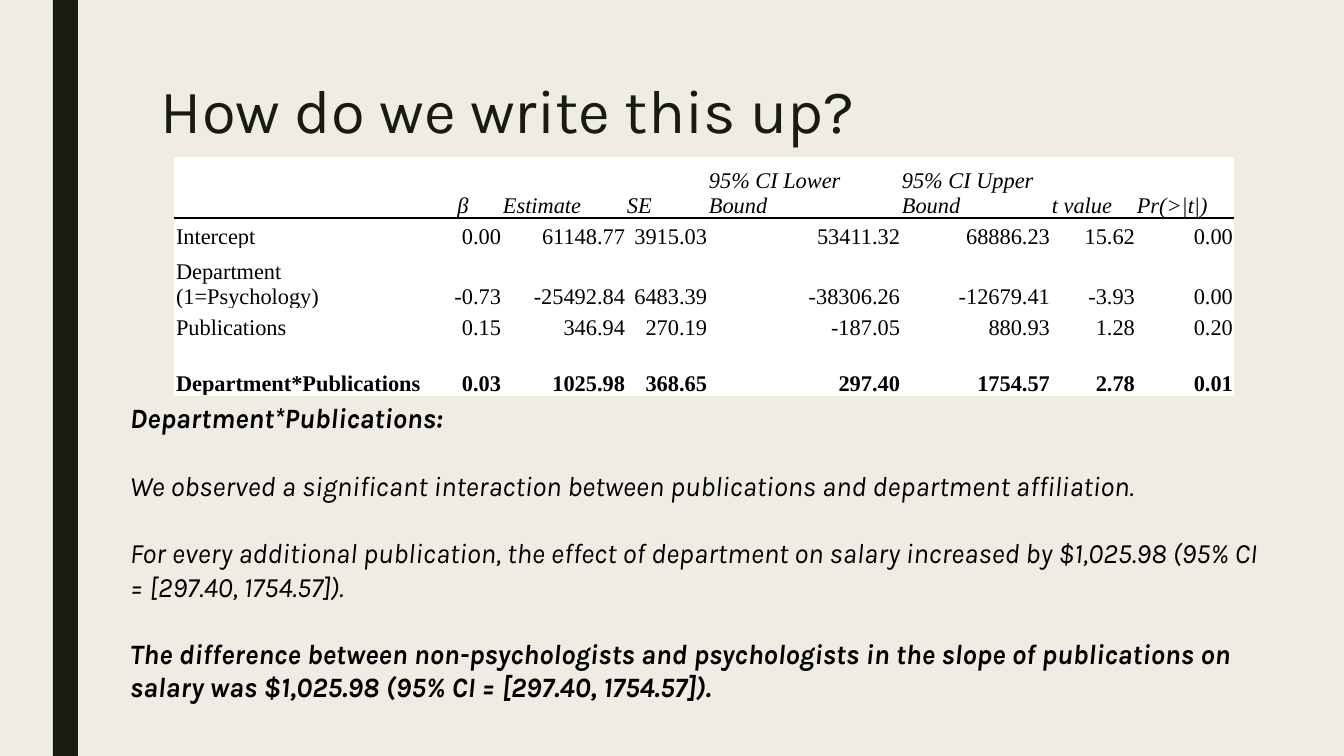
from dataclasses import dataclass
from lxml.etree import SubElement as Sub
from pptx import Presentation
from pptx.dml.color import RGBColor as RGB
from pptx.enum.shapes import MSO_SHAPE as Shape
from pptx.enum.text import MSO_ANCHOR as Anchor, PP_ALIGN as Align
from pptx.oxml.ns import qn
from pptx.util import Emu, Pt

SCALE = 914400 / 100.8


@dataclass(frozen=True)
class Theme:
    paper: RGB = RGB.from_string("EFEDE3")
    dark: RGB = RGB.from_string("191B0E")
    black: RGB = RGB.from_string("000000")
    white: RGB = RGB.from_string("FFFFFF")
    sans: str = "Karla"
    serif: str = "Times New Roman"
    title: int = 44
    body: int = 20
    cell: int = 16


THEME = Theme()

COLS = [249, 78, 124, 82, 193, 150, 85, 98]
ROWS = [60, 31, 60, 31, 56]
HEAD = ["", "β", "Estimate", "SE", "95% CI Lower Bound",
        "95% CI Upper Bound", "t value", "Pr(>|t|)"]
DATA = [
    ["Intercept", "0.00", "61148.77", "3915.03", "53411.32", "68886.23",
     "15.62", "0.00"],
    ["Department\n(1=Psychology)", "-0.73", "-25492.84", "6483.39",
     "-38306.26", "-12679.41", "-3.93", "0.00"],
    ["Publications", "0.15", "346.94", "270.19", "-187.05", "880.93",
     "1.28", "0.20"],
    ["Department*Publications", "0.03", "1025.98", "368.65", "297.40",
     "1754.57", "2.78", "0.01"],
]
NOTES = [
    ("Department*Publications:", True),
    ("We observed a significant interaction between publications and "
     "department affiliation.", False),
    ("For every additional publication, the effect of department on salary "
     "increased by $1,025.98 (95% CI = [297.40, 1754.57]).", False),
    ("The difference between non-psychologists and psychologists in the slope "
     "of publications on salary was $1,025.98 (95% CI = [297.40, 1754.57]).",
     True),
]


def px(num):
    return Emu(round(num * SCALE))


def write(par, text, font=THEME.sans, size=THEME.body, color=THEME.black,
          bold=False, italic=False, align=Align.LEFT, line=None, before=0):
    par.alignment = align
    par.space_before = Pt(before)
    if line:
        par.line_spacing = line
    run = par.add_run()
    run.text = text
    face = run.font
    face.name, face.size, face.bold, face.italic = font, Pt(size), bold, italic
    face.color.rgb = color


def add_box(slide, box):
    frame = slide.shapes.add_textbox(*map(px, box)).text_frame
    frame.word_wrap = True
    return frame


def add_bar(slide, box):
    bar = slide.shapes.add_shape(Shape.RECTANGLE, *map(px, box))
    bar.shadow.inherit = False
    bar.fill.solid()
    bar.fill.fore_color.rgb = THEME.dark
    bar.line.fill.background()


def add_title(slide, box):
    write(add_box(slide, box).paragraphs[0], "How do we write this up?",
          size=THEME.title, color=THEME.dark, line=0.89)


def rule(cell, side):
    """Draw a black line on one side (lnT or lnB) of the cell."""
    prop = cell._tc.get_or_add_tcPr()
    line = Sub(prop, qn("a:" + side), w=str(Pt(1)))
    fill = Sub(line, qn("a:solidFill"))
    Sub(fill, qn("a:srgbClr"), val=str(THEME.black))
    prop.insert(0, line)


def fill_cell(cell, text, **form):
    cell.fill.solid()
    cell.fill.fore_color.rgb = THEME.white
    cell.vertical_anchor = Anchor.BOTTOM
    cell.margin_left = cell.margin_right = cell.margin_top = px(1)
    cell.margin_bottom = 0
    frame = cell.text_frame
    for num, part in enumerate(text.split("\n")):
        par = frame.add_paragraph() if num else frame.paragraphs[0]
        write(par, part, font=THEME.serif, size=THEME.cell, **form)


def add_grid(slide, left, top):
    grid = slide.shapes.add_table(
        len(ROWS), len(COLS), px(left), px(top),
        px(sum(COLS)), px(sum(ROWS))).table
    grid.first_row = grid.horz_banding = False
    for col, wide in zip(grid.columns, COLS):
        col.width = px(wide)
    for row, high in zip(grid.rows, ROWS):
        row.height = px(high)
    for y, texts in enumerate([HEAD] + DATA):
        for x, text in enumerate(texts):
            cell = grid.cell(y, x)
            if y == 0:
                align = Align.CENTER if x == 1 else Align.LEFT
            else:
                align = Align.RIGHT if x else Align.LEFT
            fill_cell(cell, text, align=align, italic=y == 0,
                      bold=y == len(DATA))
            if y < 2:
                rule(cell, "lnT" if y else "lnB")


def add_notes(slide, box):
    frame = add_box(slide, box)
    for num, (text, bold) in enumerate(NOTES):
        par = frame.add_paragraph() if num else frame.paragraphs[0]
        write(par, text, bold=bold, italic=True, before=24 if num else 0)


def main():
    deck = Presentation()
    deck.slide_width, deck.slide_height = px(1344), px(756)
    slide = deck.slides.add_slide(deck.slide_layouts[6])
    slide.background.fill.solid()
    slide.background.fill.fore_color.rgb = THEME.paper
    add_bar(slide, (53, 0, 25, 756))
    add_title(slide, (151, 76, 1058, 163))
    add_grid(slide, 175, 158)
    add_notes(slide, (120, 396, 1167, 350))
    deck.save("out.pptx")


if __name__ == "__main__":
    main()
